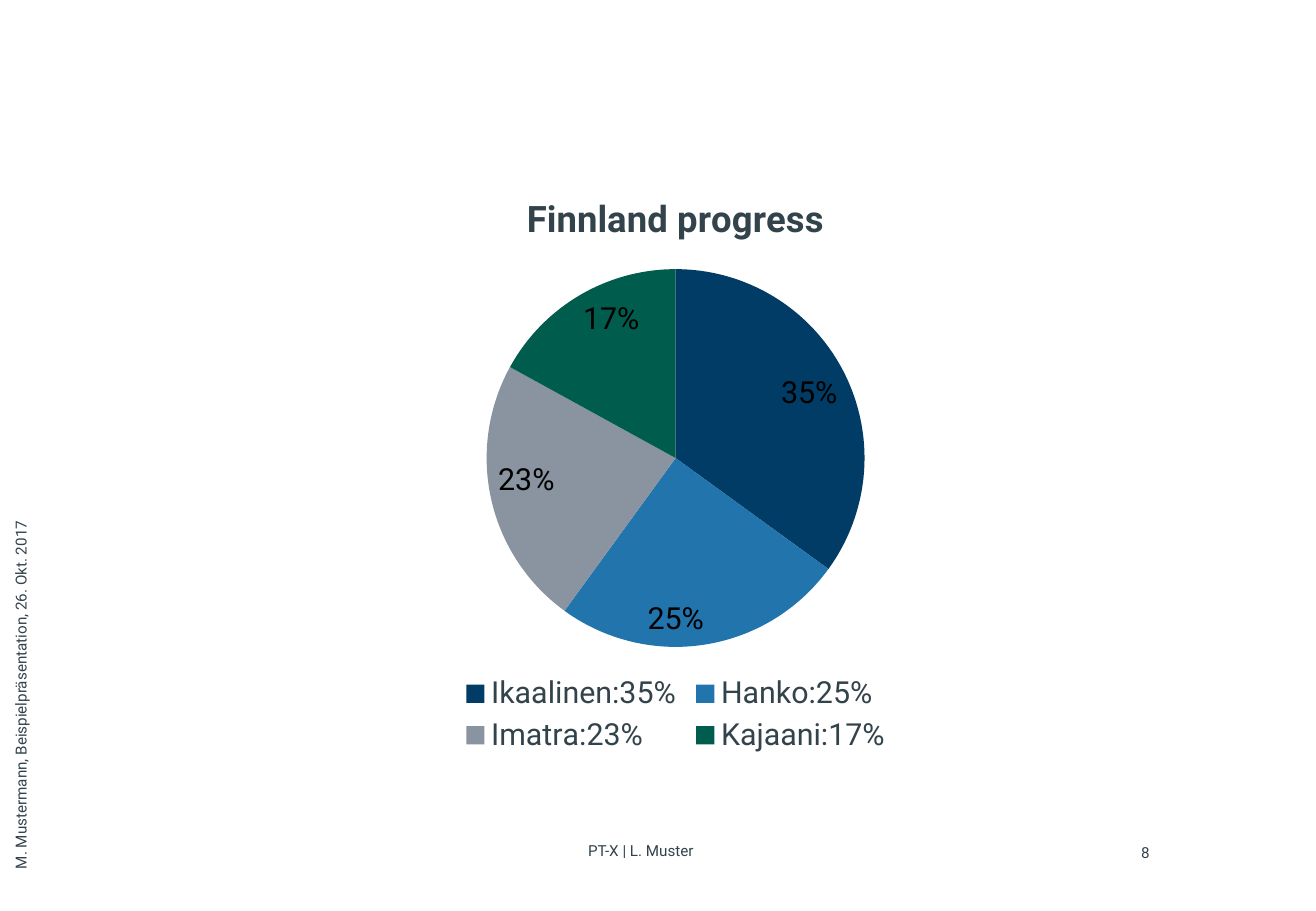
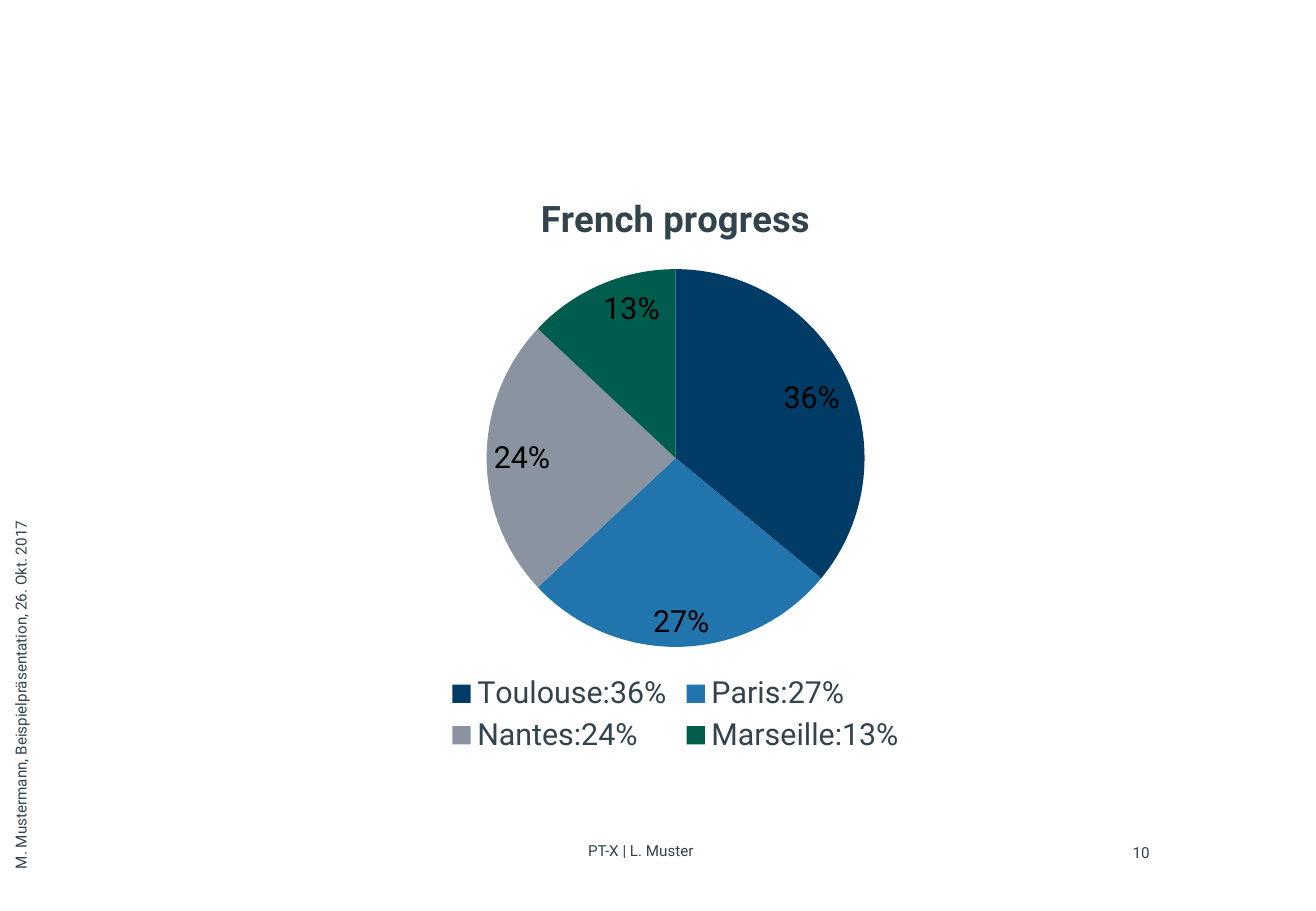
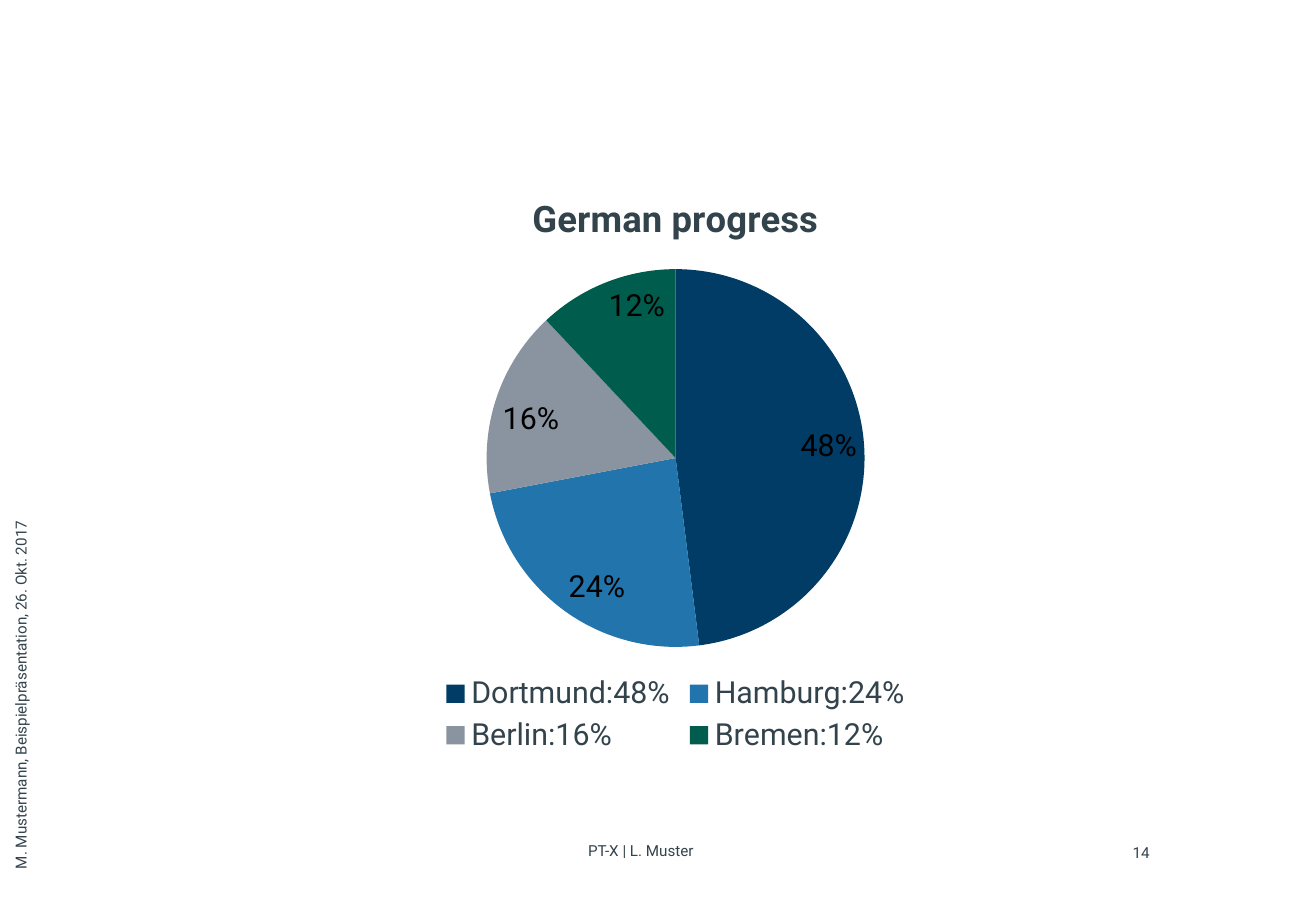
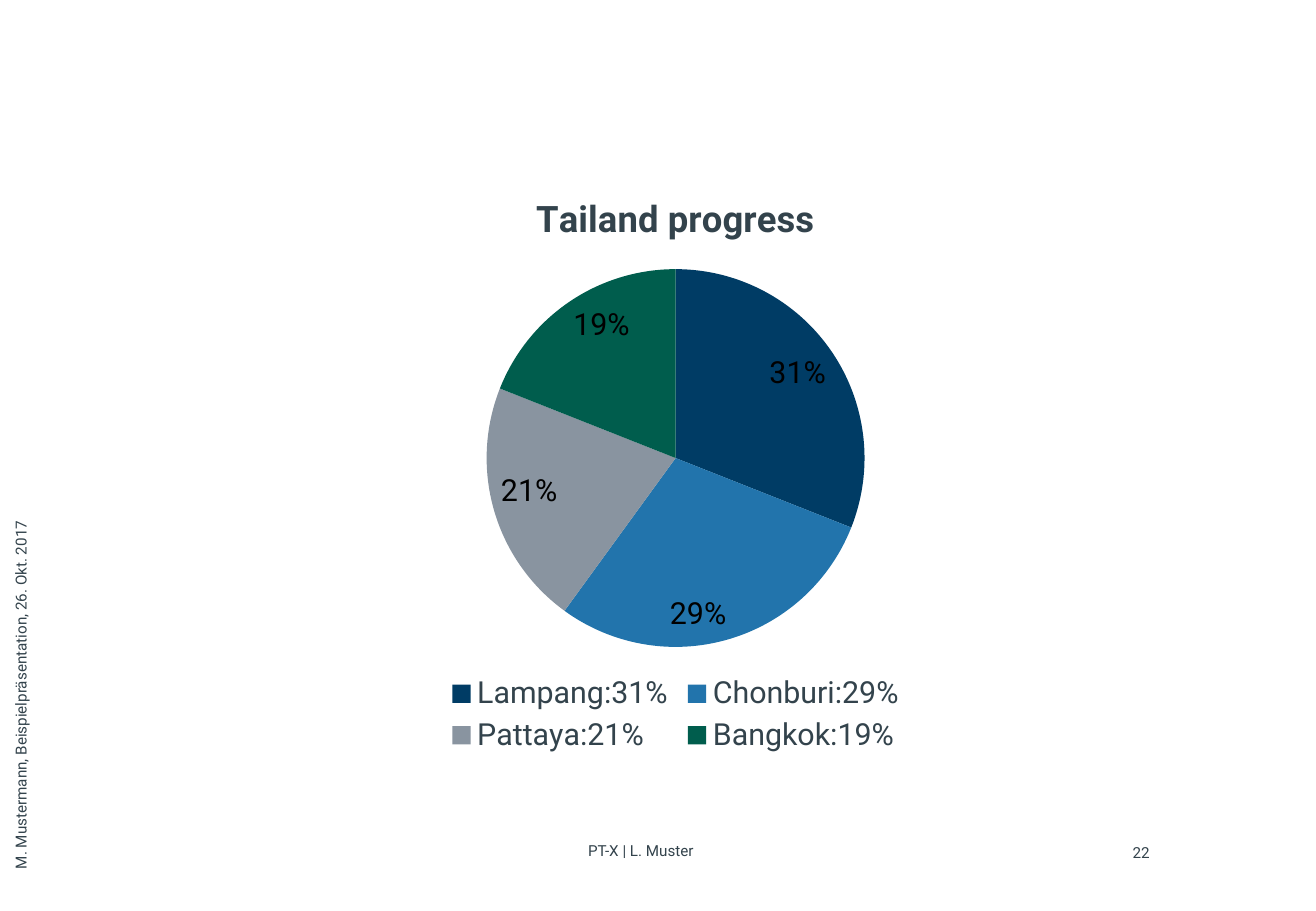
from dataclasses import dataclass

from lxml import etree
from pptx import Presentation
from pptx.chart.chart import Chart
from pptx.chart.data import CategoryChartData
from pptx.dml.color import RGBColor
from pptx.enum.chart import XL_CHART_TYPE, XL_LABEL_POSITION, XL_LEGEND_POSITION
from pptx.enum.text import MSO_ANCHOR, PP_ALIGN
from pptx.oxml.ns import qn
from pptx.slide import Slide
from pptx.util import Inches, Pt


@dataclass(frozen=True)
class Theme:
    font: str = "Roboto"
    ink: RGBColor = RGBColor(0x33, 0x43, 0x4C)
    label: RGBColor = RGBColor(0, 0, 0)
    slices: tuple[RGBColor, ...] = (
        RGBColor(0x00, 0x3C, 0x65),
        RGBColor(0x22, 0x74, 0xAC),
        RGBColor(0x89, 0x94, 0xA0),
        RGBColor(0x00, 0x5D, 0x4D),
    )
    footer_size: float = 9
    chart_size: float = 18
    title_size: float = 21.6


@dataclass(frozen=True)
class Box:
    left: float
    top: float
    width: float
    height: float

    def emu(self) -> tuple[int, int, int, int]:
        return (Inches(self.left), Inches(self.top),
                Inches(self.width), Inches(self.height))


@dataclass(frozen=True)
class Footer:
    text: str
    box: Box
    align: PP_ALIGN = PP_ALIGN.LEFT
    rotation: float = 0


@dataclass(frozen=True)
class Progress:
    page: int
    title: str
    shares: dict[str, int]


THEME = Theme()
SLIDE_WIDTH, SLIDE_HEIGHT = 10.83, 7.5
CHART_BOX = Box(2.78, 1.39, 5.56, 4.86)
PIE_SHARE = Box(0.22, 0.17, 0.56, 0.64)  # shares of the chart's size
PAGE_BOX = Box(9.07, 6.94, 0.39, 0.16)

FOOTERS = (
    Footer("PT-X | L. Muster", Box(4.84, 6.93, 3.06, 0.22)),
    Footer("M. Mustermann, Beispielpräsentation, 26. Okt. 2017",
           Box(-1.5, 5.34, 3.41, 0.22), rotation=270),
)

COUNTRIES = (
    Progress(8, "Finnland progress",
             {"Ikaalinen": 35, "Hanko": 25, "Imatra": 23, "Kajaani": 17}),
    Progress(10, "French progress",
             {"Toulouse": 36, "Paris": 27, "Nantes": 24, "Marseille": 13}),
    Progress(14, "German progress",
             {"Dortmund": 48, "Hamburg": 24, "Berlin": 16, "Bremen": 12}),
    Progress(22, "Tailand progress",
             {"Lampang": 31, "Chonburi": 29, "Pattaya": 21, "Bangkok": 19}),
)


def style_font(font, size: float, color: RGBColor, bold: bool = False) -> None:
    font.name = THEME.font
    font.size = Pt(size)
    font.bold = bold
    font.color.rgb = color


def add_footer(slide: Slide, footer: Footer) -> None:
    textbox = slide.shapes.add_textbox(*footer.box.emu())
    textbox.rotation = footer.rotation
    frame = textbox.text_frame
    frame.word_wrap = True
    frame.vertical_anchor = MSO_ANCHOR.TOP
    frame.margin_left = frame.margin_right = 0
    frame.margin_top = frame.margin_bottom = 0
    paragraph = frame.paragraphs[0]
    paragraph.alignment = footer.align
    run = paragraph.add_run()
    run.text = footer.text
    style_font(run.font, THEME.footer_size, THEME.ink)


def place_pie(chart: Chart, share: Box) -> None:
    """Fix the plot area inside the chart, which needs XML."""
    plot_area = chart.element.find(f".//{qn('c:plotArea')}")
    layout = plot_area.find(qn("c:layout"))
    if layout is None:
        layout = etree.Element(qn("c:layout"))
        plot_area.insert(0, layout)
    manual = etree.SubElement(layout, qn("c:manualLayout"))
    settings = {
        "layoutTarget": "inner", "xMode": "edge", "yMode": "edge",
        "x": share.left, "y": share.top, "w": share.width, "h": share.height,
    }
    for tag, value in settings.items():
        etree.SubElement(manual, qn(f"c:{tag}")).set("val", str(value))


def add_progress_pie(slide: Slide, progress: Progress) -> None:
    data = CategoryChartData()
    data.categories = [f"{city}:{share}%" for city, share in progress.shares.items()]
    data.add_series("Series 1", list(progress.shares.values()))
    chart = slide.shapes.add_chart(
        XL_CHART_TYPE.PIE, *CHART_BOX.emu(), data).chart
    style_font(chart.font, THEME.chart_size, THEME.ink)

    # Title and legend
    chart.has_title = True
    title = chart.chart_title.text_frame.paragraphs[0].add_run()
    title.text = progress.title
    style_font(title.font, THEME.title_size, THEME.ink, bold=True)
    chart.has_legend = True
    chart.legend.position = XL_LEGEND_POSITION.BOTTOM
    chart.legend.include_in_layout = False
    style_font(chart.legend.font, THEME.chart_size, THEME.ink)

    # Slices and their percentages
    plot = chart.plots[0]
    plot.vary_by_categories = True
    for index, color in enumerate(THEME.slices):
        fill = plot.series[0].points[index].format.fill
        fill.solid()
        fill.fore_color.rgb = color
    plot.has_data_labels = True
    labels = plot.data_labels
    labels.show_percentage = True
    labels.show_value = False
    labels.number_format = "0%"
    labels.number_format_is_linked = False
    labels.position = XL_LABEL_POSITION.INSIDE_END
    style_font(labels.font, THEME.chart_size, THEME.label)
    place_pie(chart, PIE_SHARE)


def main() -> None:
    deck = Presentation()
    deck.slide_width = Inches(SLIDE_WIDTH)
    deck.slide_height = Inches(SLIDE_HEIGHT)
    blank_layout = deck.slide_layouts[6]
    for progress in COUNTRIES:
        slide = deck.slides.add_slide(blank_layout)
        page = Footer(str(progress.page), PAGE_BOX, PP_ALIGN.RIGHT)
        for footer in (*FOOTERS, page):
            add_footer(slide, footer)
        add_progress_pie(slide, progress)
    deck.save("out.pptx")


if __name__ == "__main__":
    main()
